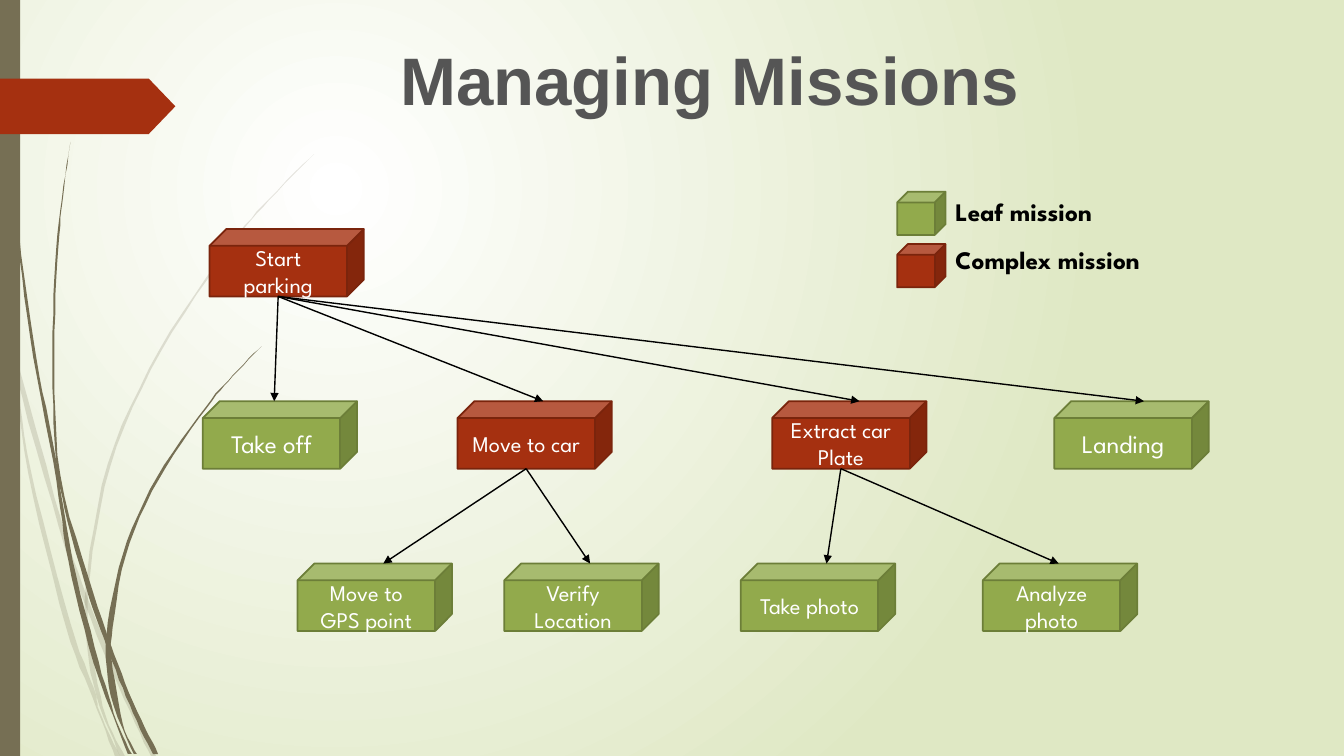
from collections import namedtuple

from lxml.etree import SubElement
from pptx import Presentation
from pptx.dml.color import RGBColor
from pptx.enum.shapes import MSO_CONNECTOR as Connector, MSO_SHAPE as Shape
from pptx.enum.text import MSO_ANCHOR as Anchor, PP_ALIGN as Align
from pptx.oxml.ns import qn
from pptx.util import Cm, Pt

Box = namedtuple("Box", "left top width height")
Mission = namedtuple("Mission", "label left row kind size tip parent")

OLIVE, RUST, BODY_FONT = "766F54", "A53010", "League Spartan"
KINDS = {"leaf": ("92AA4C", "6C7E38"), "complex": (RUST, "7A240C")}
CUBE_WIDTH, CUBE_HEIGHT = 3.89, 1.7
FOOT = 1.73  # middle of a cube's front face

# label, left, row, kind, text size, where its arrow lands, parent
MISSIONS = [Mission(*fields) for fields in (
    ("Start parking", 0.17, 0, "complex", 16, 0, None),
    ("Take off", 0, 1, "leaf", 18, 1.8, "Start parking"),
    ("Move to car", 6.42, 1, "complex", 16, 2.16, "Start parking"),
    ("Extract car Plate", 14.35, 1, "complex", 16, 2.2, "Start parking"),
    ("Landing", 21.46, 1, "leaf", 18, 2.26, "Start parking"),
    ("Move to GPS point", 2.39, 2, "leaf", 16, 2.16, "Move to car"),
    ("Verify Location", 7.6, 2, "leaf", 16, 2.16, "Move to car"),
    ("Take photo", 13.56, 2, "leaf", 16, 2.16, "Extract car Plate"),
    ("Analyze photo", 19.66, 2, "leaf", 16, 1.91, "Extract car Plate"),
)]
ROW_TOPS = (0, 4.34, 8.43)

# Stems: left edge downwards, right edge upwards, on a grid 751 units high
FAINT_STEMS = [
    ([(0, 299), (11, 350), (28, 470), (65, 621), (92, 693), (114, 751)],
     [(119, 751), (99, 707), (93, 683), (70, 619), (31, 469), (17, 376),
      (9, 322), (0, 282)]),
    ([(14, 345), (17, 376), (58, 522), (84, 599), (123, 694), (150, 751)],
     [(155, 751), (127, 692), (92, 607), (62, 520), (14, 345)]),
    ([(312, 153), (268, 197), (228, 244), (158, 348), (107, 461), (85, 584),
      (87, 646), (96, 692), (119, 751)],
     [(124, 751), (105, 711), (91, 646), (88, 584), (110, 462), (160, 349),
      (229, 245), (268, 198), (312, 153)]),
]
STRONG_STEMS = [
    ([(3, 0), (7, 110), (17, 233), (33, 355), (56, 477), (68, 557),
      (93, 659), (127, 749)],
     [(131, 749), (116, 717), (98, 657), (72, 556), (55, 453), (36, 355),
      (19, 232), (8, 109), (4, 0)]),
    ([(70, 141), (62, 193), (56, 245), (52, 349), (55, 449), (64, 505),
      (88, 592), (111, 656), (132, 708), (152, 749)],
     [(157, 749), (136, 706), (113, 649), (93, 590), (60, 472), (54, 349),
      (58, 245), (63, 193), (70, 141)]),
    ([(260, 344), (231, 373), (204, 405), (156, 474), (122, 551), (106, 631),
      (110, 691), (133, 749)],
     [(136, 749), (122, 719), (111, 656), (111, 633), (125, 552), (158, 476),
      (205, 406), (231, 374), (260, 344)]),
]


def color(hex_text):
    return RGBColor.from_string(hex_text)


def paint(shape, fill, line=None):
    shape.shadow.inherit = False
    shape.fill.solid()
    shape.fill.fore_color.rgb = color(fill)
    if line:
        shape.line.color.rgb = color(line)
        shape.line.width = Pt(1.25)
    else:
        shape.line.fill.background()


def add_preset(page, preset, box, fill, line=None):
    shape = page.shapes.add_shape(preset, *map(Cm, box))
    paint(shape, fill, line)
    return shape


def write(shape, text, size, ink, font=BODY_FONT, bold=False, align=Align.LEFT):
    shape.text_frame.word_wrap = True
    para = shape.text_frame.paragraphs[0]
    para.text, para.alignment = text, align
    para.font.name, para.font.size, para.font.bold = font, Pt(size), bold
    para.font.color.rgb = color(ink)


def add_label(page, box, *style, **options):
    write(page.shapes.add_textbox(*map(Cm, box)), *style, **options)


def smooth(points, steps=6):
    """Catmull-Rom curve through the points."""
    padded = [points[0], *points, points[-1]]
    curve = [points[0]]
    for a, b, c, d in zip(padded, padded[1:], padded[2:], padded[3:]):
        for step in range(1, steps + 1):
            t = step / steps
            curve.append(tuple(
                (2 * q + (r - p) * t + (2 * p - 5 * q + 4 * r - s) * t ** 2
                 + (3 * q - p - 3 * r + s) * t ** 3) / 2
                for p, q, r, s in zip(a, b, c, d)))
    return curve


def add_background(page):
    fill = page.background.fill
    fill.gradient()
    for stop, tint in zip(fill.gradient_stops, ("FFFFFF", "DFE8C4")):
        stop.color.rgb = color(tint)
    gradient = page.element.find(".//" + qn("a:gradFill"))
    gradient.remove(gradient.find(qn("a:lin")))
    circle = SubElement(gradient, qn("a:path"), {"path": "circle"})
    SubElement(circle, qn("a:fillToRect"),
               {"l": "50000", "t": "50000", "r": "100000", "b": "100000"})


def add_stems(page, box, stems, alpha=None):
    unit = Cm(box.height) / 751
    for left_edge, right_edge in stems:
        outline = smooth(left_edge) + smooth(right_edge)
        builder = page.shapes.build_freeform(*outline[0], scale=unit)
        builder.add_line_segments(outline[1:], close=True)
        stem = builder.convert_to_shape(Cm(box.left), Cm(box.top))
        paint(stem, OLIVE)
        if alpha:
            tint = stem.element.spPr.find(qn("a:solidFill"))[0]
            SubElement(tint, qn("a:alpha"), {"val": str(alpha * 1000)})


def add_decoration(page, box):
    add_stems(page, box, FAINT_STEMS, alpha=20)
    add_stems(page, box, STRONG_STEMS)
    add_preset(page, Shape.RECTANGLE, Box(box.left, box.top, 0.51, box.height), OLIVE)
    tag = Box(box.left, box.top + 1.98, 4.42, 1.4)
    add_preset(page, Shape.PENTAGON, tag, RUST).adjustments[0] = 0.48


def add_arrow(page, start, end):
    arrow = page.shapes.add_connector(Connector.STRAIGHT, *map(Cm, start + end))
    arrow.line.color.rgb = color("000000")
    arrow.line.width = Pt(1)
    properties = arrow.element.spPr
    SubElement(properties.find(qn("a:ln")), qn("a:tailEnd"), {"type": "triangle"})
    SubElement(properties, qn("a:effectLst"))


def add_mission_tree(page, box):
    spots = {}
    for mission in MISSIONS:
        spot = Box(box.left + mission.left, box.top + ROW_TOPS[mission.row],
                   CUBE_WIDTH, CUBE_HEIGHT)
        spots[mission.label] = spot
        cube = add_preset(page, Shape.CUBE, spot, *KINDS[mission.kind])
        write(cube, mission.label, mission.size, "FFFFFF", align=Align.CENTER)
        cube.text_frame.vertical_anchor = Anchor.MIDDLE
    # Arrows from each parent to its parts
    for mission in MISSIONS:
        if mission.parent:
            source, target = spots[mission.parent], spots[mission.label]
            add_arrow(page, (source.left + FOOT, source.top + source.height),
                      (target.left + mission.tip, target.top))


def add_legend(page, box):
    entries = (("Leaf mission", "leaf", 4.22), ("Complex mission", "complex", 6.17))
    for row, (label, kind, width) in enumerate(entries):
        key = Box(box.left, box.top + 1.32 * row, 1.22, 1.09)
        add_preset(page, Shape.CUBE, key, *KINDS[kind])
        add_label(page, Box(box.left + 1.22, box.top + 1.19 * row, width, 1.02),
                  label, 18, "000000", bold=True)


def main():
    deck = Presentation()
    deck.slide_width, deck.slide_height = Cm(33.87), Cm(19.05)
    page = deck.slides.add_slide(deck.slide_layouts[6])
    add_background(page)
    add_decoration(page, Box(0, 0, 7.92, 19.05))
    add_label(page, Box(7.52, 0.84, 20.75, 2.31), "Managing Missions", 48, "555555",
              font="Arial", bold=True, align=Align.CENTER)
    add_mission_tree(page, Box(5.11, 5.77, 25.35, 10.13))
    add_legend(page, Box(22.61, 4.83, 7.39, 2.41))
    deck.save("out.pptx")


if __name__ == "__main__":
    main()
